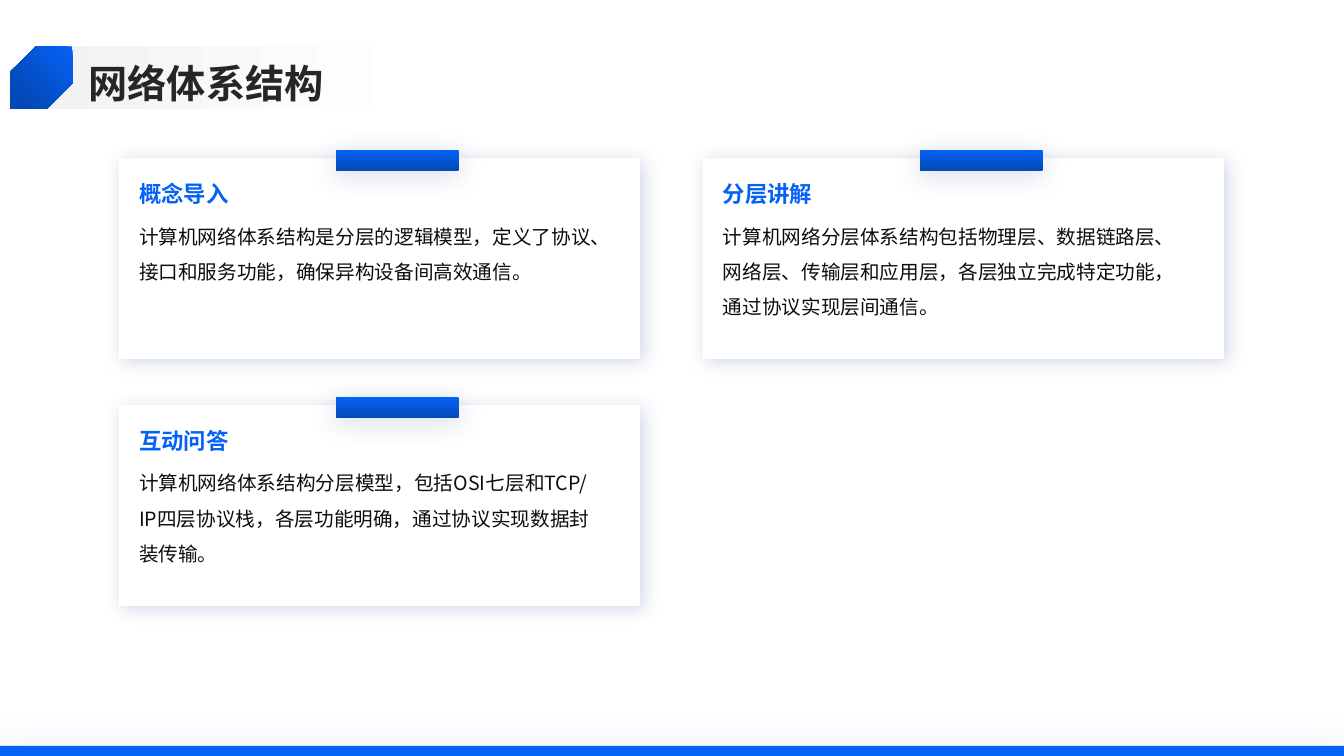
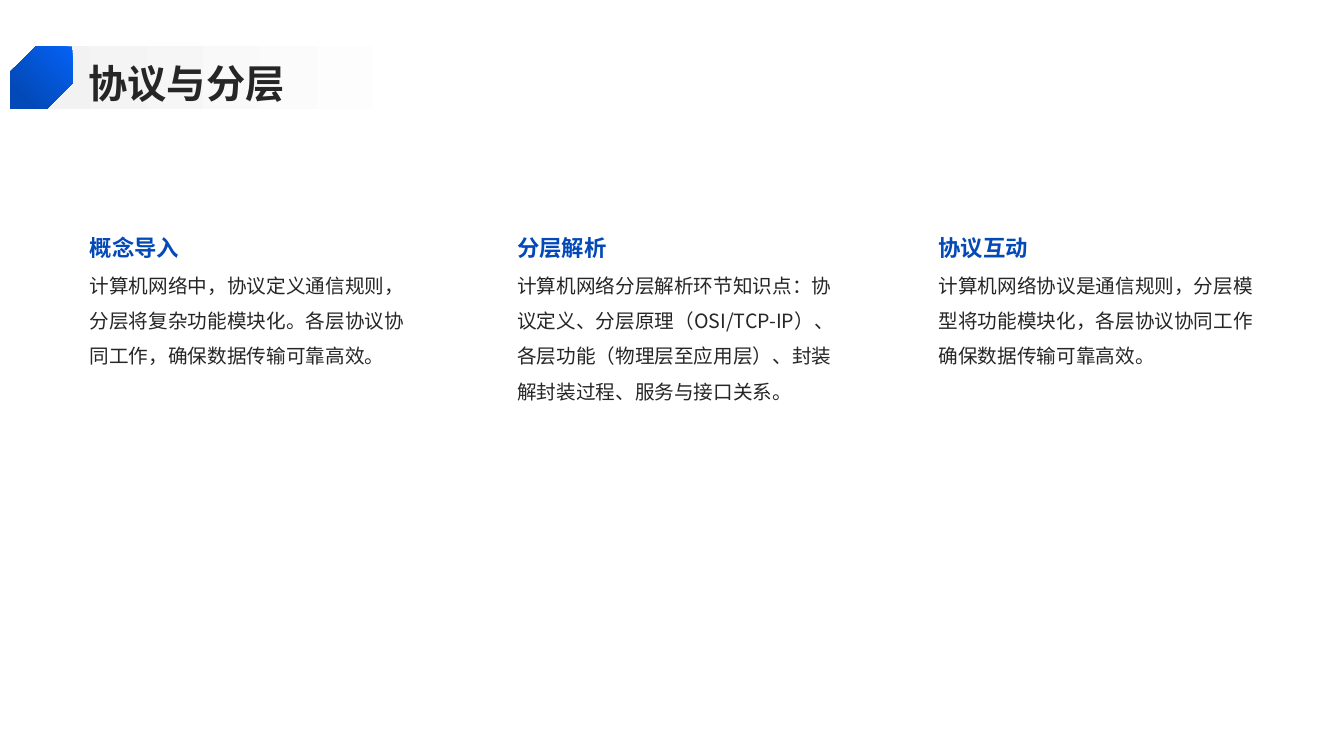
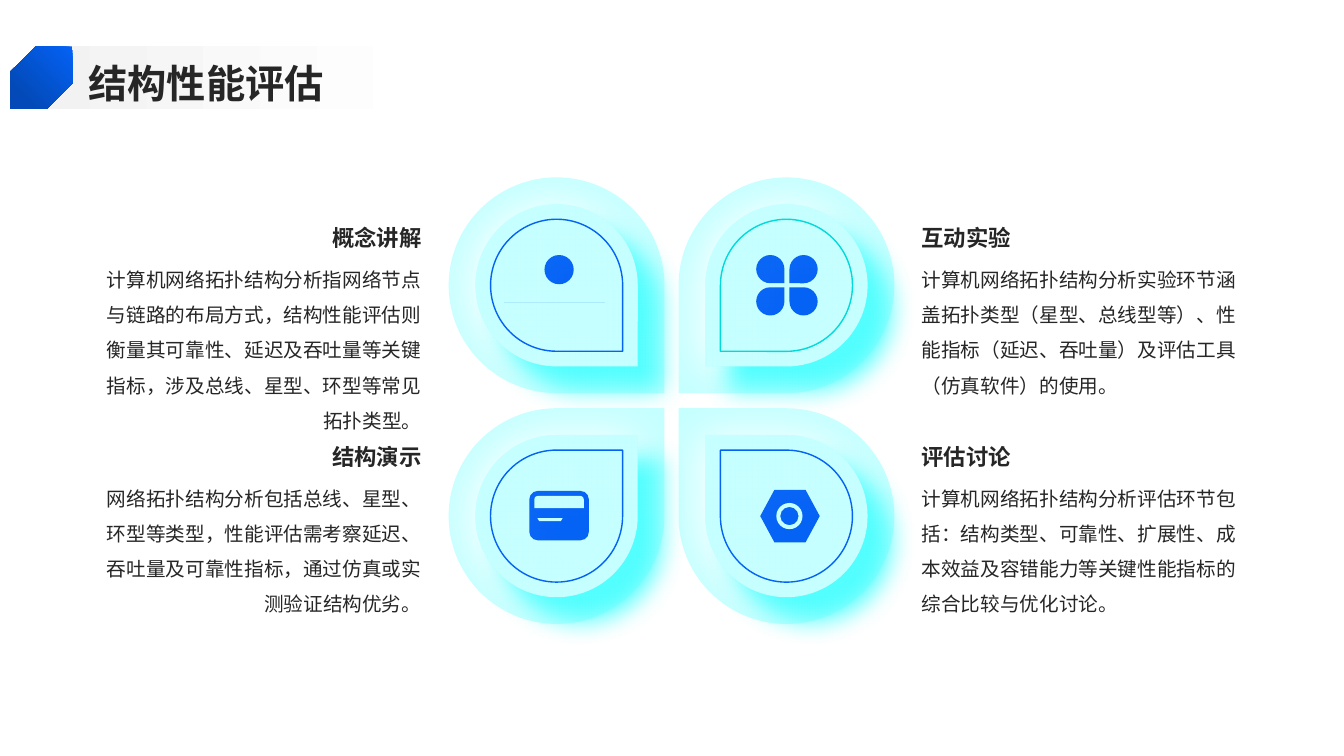
from lxml import etree
from pptx import Presentation
from pptx import util as u
from pptx.dml.color import RGBColor
from pptx.enum import shapes, text
from pptx.oxml.ns import qn

WIDTH, HEIGHT = 13.33, 7.5
FONT = "Noto Sans CJK SC"
BLUE, DEEP_BLUE, NAVY = "0462F5", "034AB8", "02317B"
INK, BODY_INK, WHITE, PALE = "262626", "0D0D0D", "FFFFFF", "C5FFFF"
AQUA, TEAL = "50FFFF", "00DADA"
KIND = shapes.MSO_SHAPE
ANCHOR = text.MSO_ANCHOR


def color(value):
    return RGBColor.from_string(value)


def add_shadow(shape, value, alpha, blur, distance, angle):
    effects = shape._element.spPr.find(qn("a:effectLst"))
    shadow = etree.SubElement(
        effects, qn("a:outerShdw"), blurRad=str(u.Pt(blur)),
        dist=str(u.Pt(distance)), dir=str(angle * 60000),
        algn="ctr", rotWithShape="0")
    tone = etree.SubElement(shadow, qn("a:srgbClr"), val=value)
    etree.SubElement(tone, qn("a:alpha"), val=str(alpha * 1000))


def paint(shape, fill=None, line=None, shadow=None):
    """Fill is None, a colour, or (start, end, end position, angle)."""
    if fill is None:
        shape.fill.background()
    elif isinstance(fill, str):
        shape.fill.solid()
        shape.fill.fore_color.rgb = color(fill)
    else:
        start, end, position, angle = fill
        shape.fill.gradient()
        shape.fill.gradient_angle = (360 - angle) % 360
        stops = shape.fill.gradient_stops
        for stop, tone, place in zip(stops, (start, end), (0, position)):
            stop.color.rgb = color(tone)
            stop.position = place
    if line:
        shape.line.color.rgb = color(line)
        shape.line.width = u.Pt(1)
    else:
        shape.line.fill.background()
    shape.shadow.inherit = False
    if shadow:
        add_shadow(shape, *shadow)
    return shape


def add_figure(slide, kind, box, fill=None, line=None, shadow=None,
               rotation=0, adjust=()):
    shape = slide.shapes.add_shape(kind, *[u.Inches(side) for side in box])
    for index, value in enumerate(adjust):
        shape.adjustments[index] = value
    shape.rotation = rotation
    return paint(shape, fill, line, shadow)


def add_text(slide, box, words, size, ink, bold=False, spacing=1.0,
             anchor=ANCHOR.TOP, align=text.PP_ALIGN.LEFT, font=FONT):
    frame = slide.shapes.add_textbox(*[u.Inches(side) for side in box]).text_frame
    frame.word_wrap = True
    frame.vertical_anchor = anchor
    frame.margin_left = frame.margin_right = 0
    frame.margin_top = frame.margin_bottom = 0
    paragraph = frame.paragraphs[0]
    paragraph.alignment = align
    paragraph.line_spacing = spacing
    run = paragraph.add_run()
    run.text = words
    run.font.size = u.Pt(size)
    run.font.bold = bold
    run.font.name = font
    run.font.color.rgb = color(ink)
    properties = run.font._element
    properties.set("lang", "zh-CN")
    east_asian = etree.Element(qn("a:ea"), typeface=FONT)
    properties.find(qn("a:latin")).addnext(east_asian)


def add_titled_slide(presentation, title):
    slide = presentation.slides.add_slide(presentation.slide_layouts[6])
    add_figure(slide, KIND.RECTANGLE, (0.33, 0.46, 4.92, 0.62),
               ("F2F2F2", WHITE, 0.8, 0))
    add_text(slide, (0.88, 0.54, 11.88, 0.51), title, 28, INK, True, 1.1,
             ANCHOR.MIDDLE)
    badge = add_figure(slide, KIND.SNIP_2_DIAG_RECTANGLE,
                       (0.1, 0.46, 0.62, 0.62),
                       (BLUE, DEEP_BLUE, 0.8, 45), adjust=(0, 0.41))
    badge._element.spPr.xfrm.set("flipH", "1")
    return slide


# Slide with raised cards
def add_card(slide, left, top, heading, body):
    add_figure(slide, KIND.RECTANGLE, (left, top, 5.17, 1.99), WHITE,
               shadow=(NAVY, 19, 13, 3, 45))
    add_figure(slide, KIND.RECTANGLE, (left + 2.15, top - 0.08, 1.22, 0.2),
               (BLUE, DEEP_BLUE, 1, 90), shadow=(NAVY, 19, 20, 3, 90))
    add_text(slide, (left + 0.2, top + 0.22, 4.56, 0.36), heading, 16, BLUE, True)
    add_text(slide, (left + 0.2, top + 0.54, 4.56, 1.32), body, 14, BODY_INK,
             spacing=1.5)


def build_cards(presentation, title, cards):
    slide = add_titled_slide(presentation, title)
    add_figure(slide, KIND.RECTANGLE, (0, HEIGHT - 0.1, WIDTH, 0.1), BLUE,
               shadow=(BLUE, 20, 25, 0, 0))
    for index, (heading, body) in enumerate(cards):
        row, column = divmod(index, 2)
        add_card(slide, 1.18 + 5.79 * column, 1.57 + 2.45 * row, heading, body)


# Slide with text columns
def build_columns(presentation, title, columns):
    slide = add_titled_slide(presentation, title)
    for left, heading, body in columns:
        add_text(slide, (left, 2.6, 3.26, 3.75), body, 14, INK, spacing=1.5)
        add_text(slide, (left, 2.25, 3.26, 0.39), heading, 16, "0349B8", True,
                 1.1, ANCHOR.MIDDLE)


# Icons, each placed from the corner of its petal
def cubic(start, first, second, end, steps=12):
    for step in range(1, steps + 1):
        t = step / steps
        yield tuple((1 - t) ** 3 * a + 3 * t * (1 - t) ** 2 * b
                    + 3 * t * t * (1 - t) * c + t ** 3 * d
                    for a, b, c, d in zip(start, first, second, end))


def draw_person(slide, left, top):
    add_figure(slide, KIND.OVAL, (left + 0.95, top + 0.77, 0.29, 0.29), BLUE)
    curves = [((0.28, 0), (0.46, 0), (0.52, 0.09), (0.55, 0.17)),
              ((0.55, 0.17), (0.56, 0.22), (0.52, 0.27), (0.47, 0.27)),
              ((0.09, 0.27), (0.03, 0.27), (-0.01, 0.22), (0.01, 0.17)),
              ((0.01, 0.17), (0.03, 0.09), (0.1, 0), (0.28, 0))]
    points = [(left + 0.82 + x, top + 1.09 + y)
              for curve in curves for x, y in (curve[0], *cubic(*curve))]
    builder = slide.shapes.build_freeform(*points[0], scale=u.Inches(1))
    builder.add_line_segments(points[1:], close=True)
    paint(builder.convert_to_shape(), BLUE)


def draw_clover(slide, left, top):
    for x, y, rotation in ((0, 0, 90), (1, 0, 180), (0, 1, 0), (1, 1, 270)):
        box = (left + 0.77 + 0.33 * x, top + 0.77 + 0.32 * y, 0.28, 0.28)
        add_figure(slide, KIND.TEAR, box, BLUE, rotation=rotation)


def draw_nut(slide, left, top):
    add_figure(slide, KIND.HEXAGON, (left + 0.81, top + 0.81, 0.59, 0.52), BLUE,
               adjust=(0.27,))
    add_figure(slide, KIND.DONUT, (left + 0.97, top + 0.94, 0.26, 0.26), PALE,
               adjust=(0.15,))


def draw_bank_card(slide, left, top):
    add_figure(slide, KIND.ROUNDED_RECTANGLE,
               (left + 0.8, top + 0.82, 0.59, 0.49), BLUE, adjust=(0.17,))
    add_figure(slide, KIND.ROUND_2_SAME_RECTANGLE,
               (left + 0.85, top + 0.87, 0.49, 0.12), PALE, adjust=(0.28, 0))
    add_figure(slide, KIND.TRAPEZOID, (left + 0.88, top + 1.09, 0.25, 0.03),
               PALE, rotation=180, adjust=(0.6,))


# Slide with four petals and their captions
def add_petal(slide, left, top, rotation, outline, draw_icon):
    def tear(inset, **style):
        side = 2.14 - 2 * inset
        add_figure(slide, KIND.TEAR, (left + inset, top + inset, side, side),
                   rotation=rotation, **style)

    tear(0, fill=PALE)
    tear(0.265, fill=PALE, shadow=(WHITE, 100, 32, 3, 180))
    tear(0.265, fill=PALE, shadow=(AQUA, 100, 18, 24, 45))
    draw_icon(slide, left, top)
    tear(0.415, line=outline, shadow=(WHITE, 100, 34, 24, 45))


def build_petals(presentation, title, petals):
    slide = add_titled_slide(presentation, title)
    for column, row, rotation, outline, draw_icon, heading, body in petals:
        add_petal(slide, 4.45 + 2.28 * column, 1.76 + 2.29 * row, rotation,
                  outline, draw_icon)
        left, top = 1.02 + 8.12 * column, 2.18 + 2.17 * row
        align = text.PP_ALIGN.LEFT if column else text.PP_ALIGN.RIGHT
        add_text(slide, (left, top + 0.36, 3.16, 1.54), body, 14, INK,
                 spacing=1.5, align=align, font=FONT if column else "Arial")
        add_text(slide, (left, top, 3.16, 0.31), heading, 16, INK, True, 1.5,
                 ANCHOR.BOTTOM, align)


def main():
    presentation = Presentation()
    presentation.slide_width = u.Inches(WIDTH)
    presentation.slide_height = u.Inches(HEIGHT)
    build_cards(presentation, "网络体系结构", [
        ("概念导入", "计算机网络体系结构是分层的逻辑模型，定义了协议、接口和服务功能，"
                 "确保异构设备间高效通信。"),
        ("分层讲解", "计算机网络分层体系结构包括物理层、数据链路层、网络层、传输层和应用层，"
                 "各层独立完成特定功能，通过协议实现层间通信。"),
        ("互动问答", "计算机网络体系结构分层模型，包括OSI七层和TCP/IP四层协议栈，"
                 "各层功能明确，通过协议实现数据封装传输。"),
    ])
    build_columns(presentation, "协议与分层", [
        (0.89, "概念导入", "计算机网络中，协议定义通信规则，分层将复杂功能模块化。"
                       "各层协议协同工作，确保数据传输可靠高效。"),
        (5.13, "分层解析", "计算机网络分层解析环节知识点：协议定义、分层原理（OSI/TCP-IP）、"
                       "各层功能（物理层至应用层）、封装解封装过程、服务与接口关系。"),
        (9.31, "协议互动", "计算机网络协议是通信规则，分层模型将功能模块化，"
                       "各层协议协同工作确保数据传输可靠高效。"),
    ])
    build_petals(presentation, "结构性能评估", [
        (0, 0, 90, BLUE, draw_person, "概念讲解",
         "计算机网络拓扑结构分析指网络节点与链路的布局方式，结构性能评估则衡量其可靠性、"
         "延迟及吞吐量等关键指标，涉及总线、星型、环型等常见拓扑类型。"),
        (1, 0, 180, TEAL, draw_clover, "互动实验",
         "计算机网络拓扑结构分析实验环节涵盖拓扑类型（星型、总线型等）、"
         "性能指标（延迟、吞吐量）及评估工具（仿真软件）的使用。"),
        (1, 1, 270, BLUE, draw_nut, "评估讨论",
         "计算机网络拓扑结构分析评估环节包括：结构类型、可靠性、扩展性、"
         "成本效益及容错能力等关键性能指标的综合比较与优化讨论。"),
        (0, 1, 0, BLUE, draw_bank_card, "结构演示",
         "网络拓扑结构分析包括总线、星型、环型等类型，性能评估需考察延迟、"
         "吞吐量及可靠性指标，通过仿真或实测验证结构优劣。"),
    ])
    presentation.save("out.pptx")


if __name__ == "__main__":
    main()
